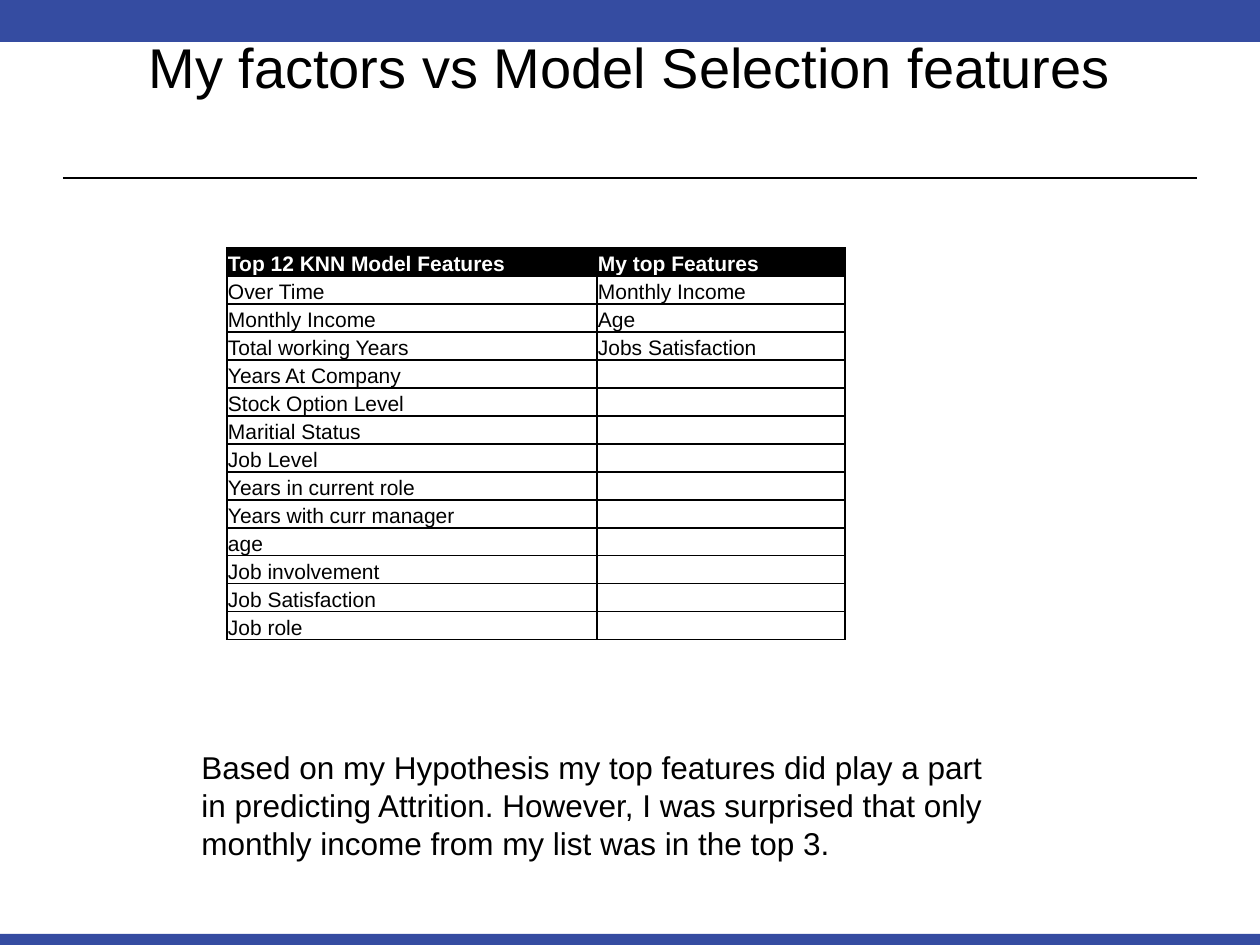
from lxml import etree
from pptx import Presentation
from pptx.dml.color import RGBColor
from pptx.enum.shapes import MSO_CONNECTOR, MSO_SHAPE
from pptx.enum.text import MSO_ANCHOR, MSO_AUTO_SIZE, PP_ALIGN
from pptx.oxml.ns import qn
from pptx.util import Pt

RECTANGLE = MSO_SHAPE.RECTANGLE
STRAIGHT = MSO_CONNECTOR.STRAIGHT
MIDDLE, BOTTOM = MSO_ANCHOR.MIDDLE, MSO_ANCHOR.BOTTOM
NO_AUTOFIT = MSO_AUTO_SIZE.NONE
CENTER = PP_ALIGN.CENTER

PX = 914400 // 126
WIDTH, HEIGHT = 1260, 945
FONT = "Arial"
COLORS = {
    name: RGBColor.from_string(value)
    for name, value in {"bar": "354CA1", "black": "000000", "white": "FFFFFF"}.items()
}

FEATURES = [
    "Over Time", "Monthly Income", "Total working Years", "Years At Company",
    "Stock Option Level", "Maritial Status", "Job Level", "Years in current role",
    "Years with curr manager", "age", "Job involvement", "Job Satisfaction", "Job role",
]
MY_FEATURES = ["Monthly Income", "Age", "Jobs Satisfaction"]
COLUMNS = [
    ["Top 12 KNN Model Features"] + FEATURES,
    ["My top Features"] + MY_FEATURES + [""] * (len(FEATURES) - len(MY_FEATURES)),
]
COLUMN_WIDTHS = [370, 248]
ROW_HEIGHT = 28


def format_runs(paragraph, size, color, bold=False):
    for run in paragraph.runs:
        run.font.name = FONT
        run.font.size = Pt(size)
        run.font.bold = bold
        run.font.color.rgb = COLORS[color]


def add_borders(cell):
    """Draw a 1 pt black line on all four sides of a table cell."""
    properties = cell._tc.get_or_add_tcPr()
    for position, side in enumerate(("a:lnL", "a:lnR", "a:lnT", "a:lnB")):
        line = etree.Element(qn(side), w=str(Pt(1)))
        fill = etree.SubElement(line, qn("a:solidFill"))
        etree.SubElement(fill, qn("a:srgbClr"), val=str(COLORS["black"]))
        properties.insert(position, line)


presentation = Presentation()
presentation.slide_width = WIDTH * PX
presentation.slide_height = HEIGHT * PX
slide = presentation.slides.add_slide(presentation.slide_layouts[5])

# Bars and rule
for top, height in ((934, 11), (0, 42)):
    bar = slide.shapes.add_shape(RECTANGLE, 0, top * PX, WIDTH * PX, height * PX)
    bar.shadow.inherit = False
    bar.fill.solid()
    bar.fill.fore_color.rgb = COLORS["bar"]
    bar.line.fill.background()

rule = slide.shapes.add_connector(STRAIGHT, 63 * PX, 178 * PX, 1197 * PX, 178 * PX)
rule.line.color.rgb = COLORS["black"]
rule.line.width = Pt(1.25)
etree.SubElement(rule._element.spPr, qn("a:effectLst"))

# Title
title = slide.shapes.title
title.left, title.top, title.width, title.height = 63 * PX, 31 * PX, 1134 * PX, 158 * PX
title_frame = title.text_frame
title_frame.text = "My factors vs Model Selection features"
title_frame.auto_size = NO_AUTOFIT
title_frame.vertical_anchor = MIDDLE
title_frame.margin_bottom = 94 * PX
title_frame.paragraphs[0].alignment = CENTER
format_runs(title_frame.paragraphs[0], 32, "black")

# Feature table
row_count = len(COLUMNS[0])
table = slide.shapes.add_table(
    row_count, len(COLUMNS), 227 * PX, 248 * PX,
    sum(COLUMN_WIDTHS) * PX, row_count * ROW_HEIGHT * PX,
).table
table.horz_banding = False
for row in table.rows:
    row.height = ROW_HEIGHT * PX

for column_index, texts in enumerate(COLUMNS):
    table.columns[column_index].width = COLUMN_WIDTHS[column_index] * PX
    for row_index, text in enumerate(texts):
        is_header = row_index == 0
        cell = table.cell(row_index, column_index)
        cell.margin_left = cell.margin_right = cell.margin_top = PX
        cell.margin_bottom = 0
        cell.vertical_anchor = BOTTOM
        if is_header:
            cell.fill.solid()
            cell.fill.fore_color.rgb = COLORS["black"]
        else:
            cell.fill.background()
        add_borders(cell)
        paragraph = cell.text_frame.paragraphs[0]
        if text:
            paragraph.text = text
            format_runs(paragraph, 12, "white" if is_header else "black", is_header)
        else:
            # The end mark keeps empty rows from growing
            etree.SubElement(paragraph._p, qn("a:endParaRPr"), sz="1200")

# Conclusion
conclusion = slide.shapes.add_textbox(189 * PX, 742 * PX, 816 * PX, 127 * PX)
conclusion_frame = conclusion.text_frame
conclusion_frame.word_wrap = True
conclusion_frame.text = (
    "Based on my Hypothesis my top features did play a part in predicting Attrition. "
    "However, I was surprised that only monthly income from my list was in the top 3."
)
format_runs(conclusion_frame.paragraphs[0], 18, "black")

presentation.save("out.pptx")
